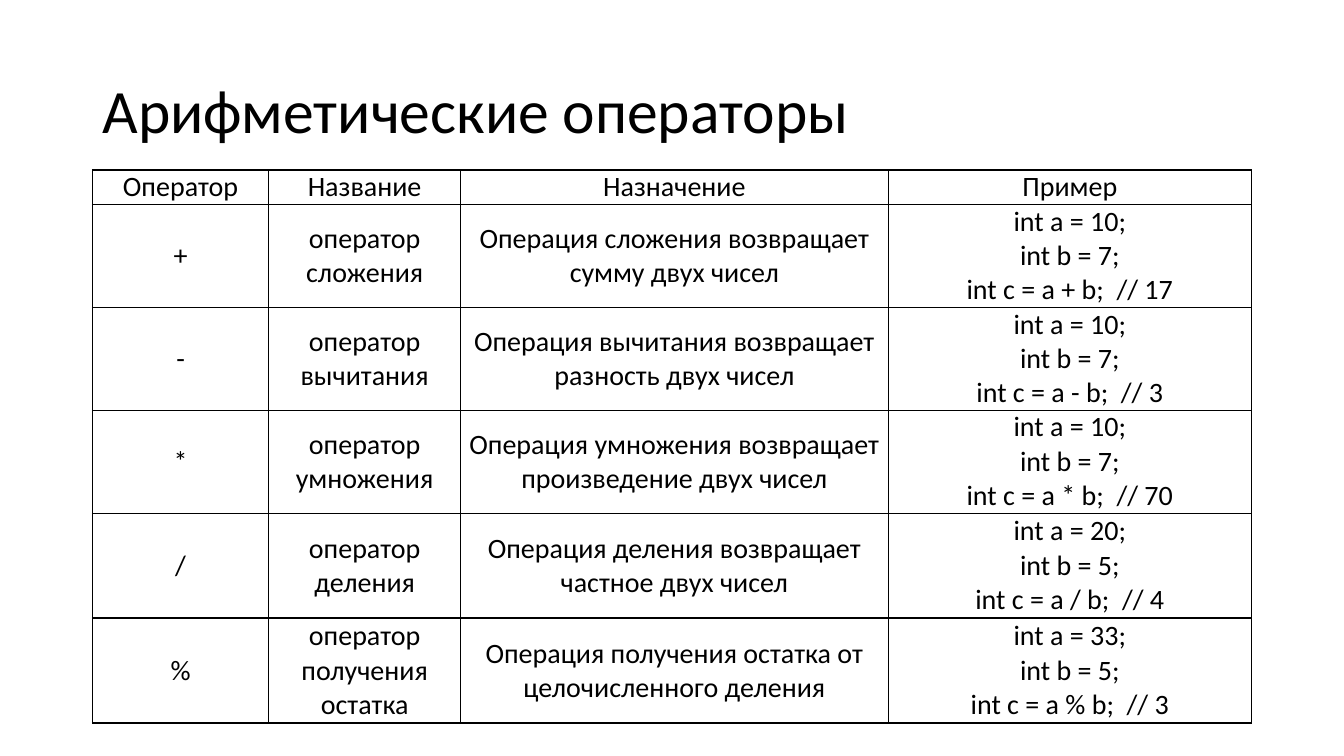
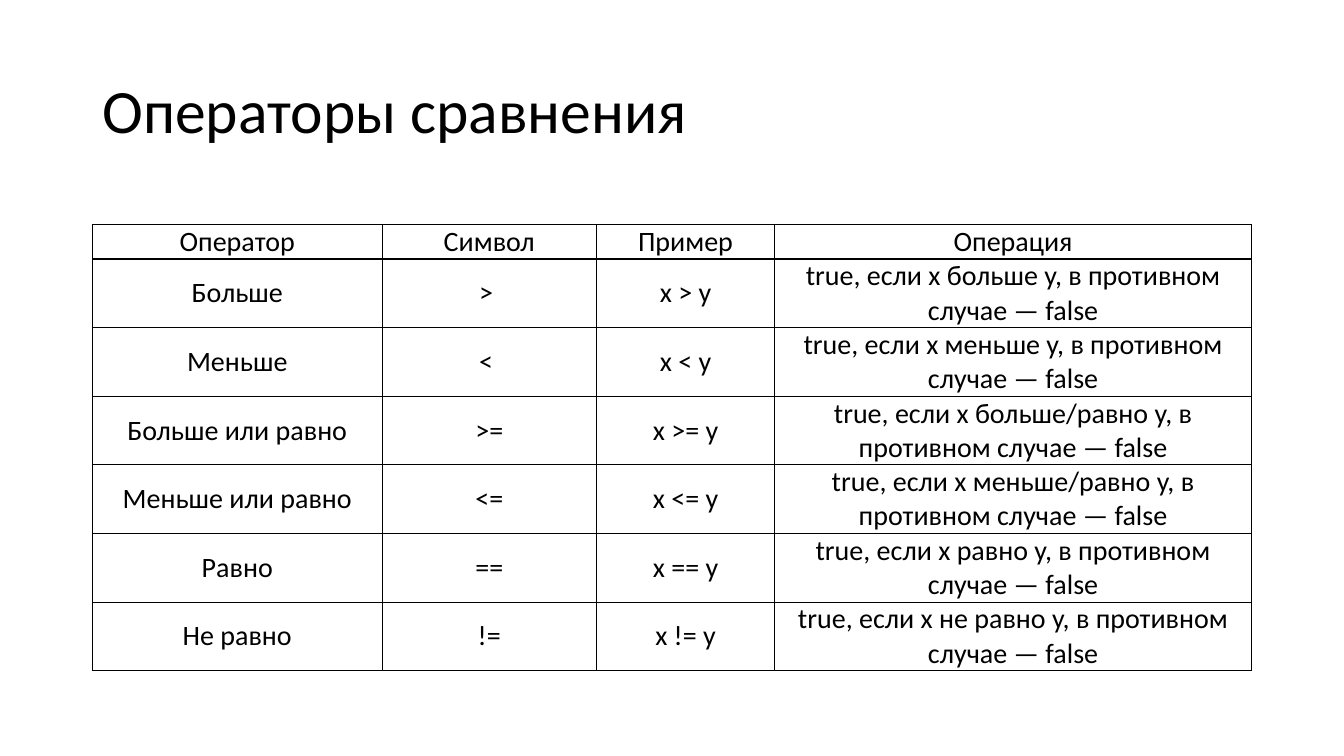
from lxml import etree
from pptx import Presentation
from pptx import util as u
from pptx.dml.color import RGBColor
from pptx.enum import text
from pptx.oxml import ns

Pt = u.Pt
COLORS = {"text": "000000", "border": "000000"}
FONT = "Calibri"
LEFT, WIDTH = 66, 828
LINE = 24.4  # height of one line of table text

ARITHMETIC = [
    ("+", "сложения", "Операция сложения возвращает сумму двух чисел", 10, 7, 17),
    ("-", "вычитания", "Операция вычитания возвращает разность двух чисел", 10, 7, 3),
    ("*", "умножения", "Операция умножения возвращает произведение двух чисел", 10, 7, 70),
    ("/", "деления", "Операция деления возвращает частное двух чисел", 20, 5, 4),
    ("%", "получения остатка", "Операция получения остатка от целочисленного деления", 33, 5, 3),
]
COMPARISON = [
    ("Больше", "> ", "x > y", "больше y"),
    ("Меньше", "< ", "x < y", "меньше y"),
    ("Больше или равно", ">=", "x >= y", "больше/равно y"),
    ("Меньше или равно", "<=", "x <= y", "меньше/равно y"),
    ("Равно", "==", "x == y", "равно y"),
    ("Не равно", "!=", "x != y", "не равно y"),
]


class Deck:
    """Holds the presentation, its style and the current slide."""

    def __init__(self):
        self.prs = Presentation()
        self.prs.slide_width, self.prs.slide_height = Pt(960), Pt(540)
        self.s = None

    def slide(self, title):
        self.s = self.prs.slides.add_slide(self.prs.slide_layouts[5])
        sp = self.s.shapes.title
        sp.left, sp.top, sp.width, sp.height = Pt(LEFT), Pt(29), Pt(WIDTH), Pt(104)
        tf = sp.text_frame
        tf.auto_size = text.MSO_AUTO_SIZE.NONE
        tf.vertical_anchor = text.MSO_ANCHOR.MIDDLE
        p = tf.paragraphs[0]
        p.line_spacing = 0.9
        self.run(p, title, 44, text.PP_ALIGN.LEFT)

    def run(self, p, words, size, align):
        p.alignment = align
        r = p.add_run()
        r.text = words
        r.font.name, r.font.size = FONT, Pt(size)
        r.font.color.rgb = RGBColor.from_string(COLORS["text"])

    def table(self, top, widths, heights, rows, inset):
        frame = self.s.shapes.add_table(len(rows), len(widths), Pt(LEFT), Pt(top),
                                        Pt(WIDTH), Pt(sum(heights)))
        table = frame.table
        table.first_row = table.horz_banding = False
        for column, width in zip(table.columns, widths):
            column.width = Pt(width)
        for row, height, words in zip(table.rows, heights, rows):
            row.height = Pt(height)
            for cell, content in zip(row.cells, words):
                self.cell(cell, content, inset)

    def cell(self, cell, content, inset):
        """Fill a cell, one paragraph for each line of content."""
        cell.margin_left = cell.margin_right = Pt(inset)
        cell.margin_top = cell.margin_bottom = 0
        cell.vertical_anchor = text.MSO_ANCHOR.MIDDLE
        tf = cell.text_frame
        for i, line in enumerate(content.split("\n")):
            p = tf.add_paragraph() if i else tf.paragraphs[0]
            self.run(p, line, 20, text.PP_ALIGN.CENTER)
        self.borders(cell)
        cell.fill.background()

    def borders(self, cell):
        props = cell._tc.get_or_add_tcPr()
        for side in ("lnL", "lnR", "lnT", "lnB"):
            ln = etree.SubElement(props, ns.qn(f"a:{side}"), w=str(Pt(1)))
            fill = etree.SubElement(ln, ns.qn("a:solidFill"))
            etree.SubElement(fill, ns.qn("a:srgbClr"), val=COLORS["border"])


def main():
    deck = Deck()

    deck.slide("Арифметические операторы")
    rows = [("Оператор", "Название", "Назначение", "Пример")]
    for sign, name, purpose, a, b, c in ARITHMETIC:
        example = f"int a = {a};\nint b = {b};\nint c = a {sign} b;  // {c}"
        rows.append((sign, f"оператор {name}", purpose, example))
    deck.table(121.5, [126, 137, 305.5, 259.5],
               [LINE] + [3 * LINE] * 3 + [75] * 2, rows, 3.6)

    deck.slide("Операторы сравнения")
    rows = [("Оператор", "Символ", "Пример", "Операция")]
    for name, sign, example, relation in COMPARISON:
        result = f"true, если x {relation}, в противном случае — false"
        rows.append((name, sign, example, result))
    deck.table(160.5, [207, 153, 127.5, 340.5],
               [LINE] + [2 * LINE] * 6, rows, 5)

    deck.prs.save("out.pptx")


if __name__ == "__main__":
    main()
